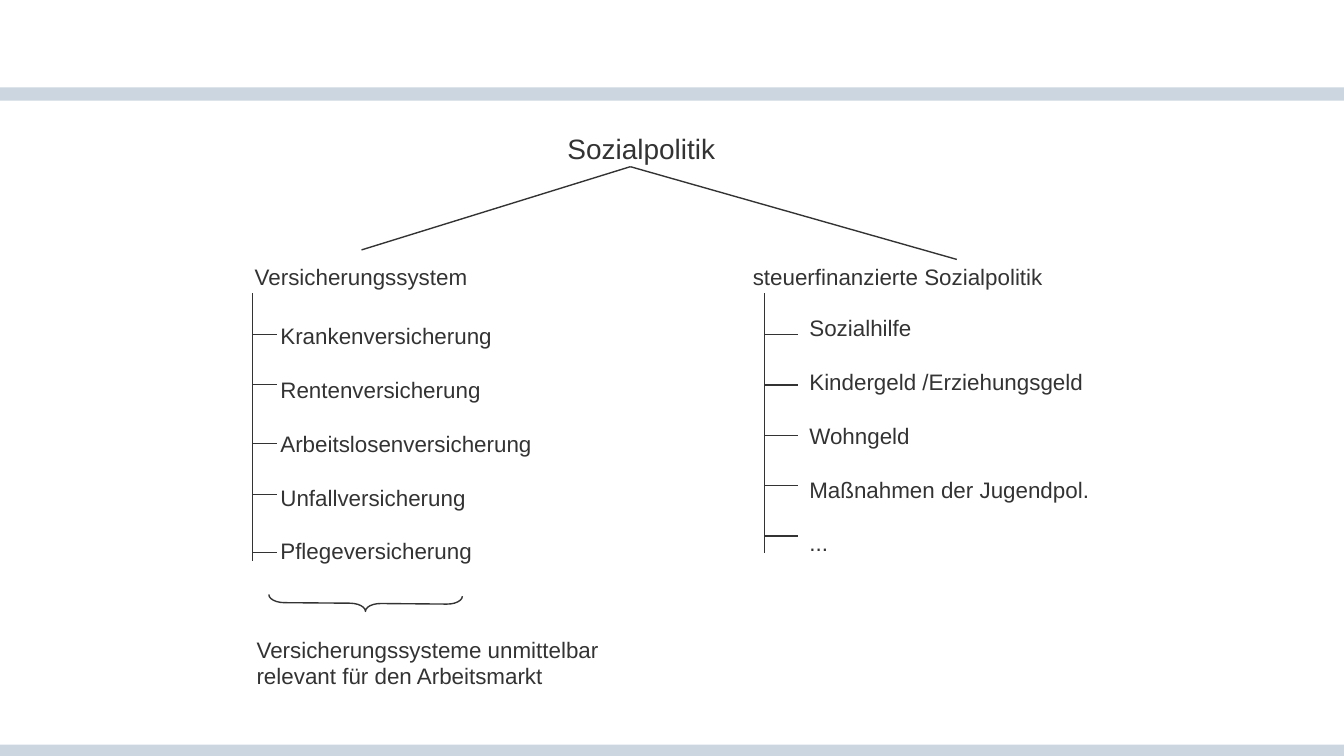
from lxml import etree
from pptx import Presentation
from pptx.dml.color import RGBColor
from pptx.enum.shapes import MSO_CONNECTOR, MSO_SHAPE
from pptx.enum.text import MSO_ANCHOR, MSO_AUTO_SIZE, PP_ALIGN
from pptx.oxml.ns import qn
from pptx.util import Pt

STRAIGHT = MSO_CONNECTOR.STRAIGHT
RECT, BRACE = MSO_SHAPE.RECTANGLE, MSO_SHAPE.RIGHT_BRACE
TOP, LEFT, FIXED = MSO_ANCHOR.TOP, PP_ALIGN.LEFT, MSO_AUTO_SIZE.NONE
INK, BAND = "333333", "CCD6E0"


def rgb(value):
    return RGBColor.from_string(value)


class Diagram:
    font = "Arial"
    leading = 14.4
    line_width = 0.75

    def __init__(self, slide):
        self.slide = slide

    def place(self, sp, x, y, w, h):
        sp.left, sp.top, sp.width, sp.height = Pt(x), Pt(y), Pt(w), Pt(h)

    def fill_text(self, sp, lines, size=12, gap=0):
        tf = sp.text_frame
        tf.text = "\n".join(lines)
        tf.word_wrap = True
        tf.auto_size = FIXED
        tf.vertical_anchor = TOP
        for p in tf.paragraphs:
            p.alignment = LEFT
            p.line_spacing = Pt(self.leading * size / 12)
            p.space_before = Pt(0)
            p.space_after = Pt(gap)
            p.font.name = self.font
            p.font.size = Pt(size)
            p.font.color.rgb = rgb(INK)

    def title(self, text, x, y, w, h):
        sp = self.slide.shapes.title
        self.place(sp, x, y, w, h)
        self.fill_text(sp, [text], 15)

    def list(self, idx, items, x, y, w, h):
        sp = self.slide.placeholders[idx]
        self.place(sp, x, y, w, h)
        self.fill_text(sp, items, gap=self.leading)
        for p in sp.text_frame.paragraphs:
            pPr = p._p.get_or_add_pPr()
            pPr.set("marL", "0")
            pPr.set("indent", "0")
            bullet = etree.Element(qn("a:buNone"))
            pPr.find(qn("a:spcAft")).addnext(bullet)

    def text(self, lines, x, y, w, h):
        sp = self.slide.shapes.add_textbox(Pt(x), Pt(y), Pt(w), Pt(h))
        self.fill_text(sp, lines)

    def band(self, y, h):
        sp = self.slide.shapes.add_shape(RECT, 0, Pt(y), Pt(720), Pt(h))
        sp.shadow.inherit = False
        sp.fill.solid()
        sp.fill.fore_color.rgb = rgb(BAND)
        sp.line.fill.background()

    def brace(self, x, y, w, h, rotation):
        sp = self.slide.shapes.add_shape(BRACE, Pt(x), Pt(y), Pt(w), Pt(h))
        sp.shadow.inherit = False
        sp.rotation = rotation
        sp.adjustments[0] = 0.96
        sp.fill.background()
        self.stroke(sp)

    def stroke(self, sp):
        sp.line.color.rgb = rgb(INK)
        sp.line.width = Pt(self.line_width)

    def line(self, x1, y1, x2, y2):
        cxn = self.slide.shapes.add_connector(STRAIGHT, Pt(x1), Pt(y1), Pt(x2), Pt(y2))
        self.stroke(cxn)
        etree.SubElement(cxn._element.spPr, qn("a:effectLst"))

    def bracket(self, x, top, bottom, tick, levels):
        self.line(x, top, x, bottom)
        for y in levels:
            self.line(x, y, x + tick, y)


prs = Presentation()
prs.slide_width, prs.slide_height = Pt(720), Pt(405)
s = prs.slides.add_slide(prs.slide_layouts[3])
d = Diagram(s)

d.band(399, 6)
d.band(46.8, 7.2)

d.title("Sozialpolitik", 296.8, 67, 100, 25)
for x, y in ((193.7, 133.9), (512.6, 139)):
    d.line(337.7, 89.3, x, y)

d.text(["Versicherungssystem"], 129.4, 137.5, 150, 22)
d.text(["steuerfinanzierte Sozialpolitik"], 396.2, 137.5, 190, 22)

d.list(1, ["Krankenversicherung", "Rentenversicherung", "Arbeitslosenversicherung",
           "Unfallversicherung", "Pflegeversicherung"], 143, 169.2, 160, 138)
d.list(2, ["Sozialhilfe", "Kindergeld /Erziehungsgeld", "Wohngeld",
           "Maßnahmen der Jugendpol.", "..."], 426.4, 164.9, 180, 138)

d.bracket(135.2, 157, 300.8, 13.2, [179.2, 206, 237.6, 264.8, 296])
d.bracket(409.6, 157, 296, 18, [179.2 + 27 * i for i in range(5)])

d.brace(191.5, 271.4, 8.6, 103.7, 90.5)
d.text(["Versicherungssysteme unmittelbar", "relevant für den Arbeitsmarkt"],
       130.4, 337, 210, 36)

prs.save("out.pptx")
